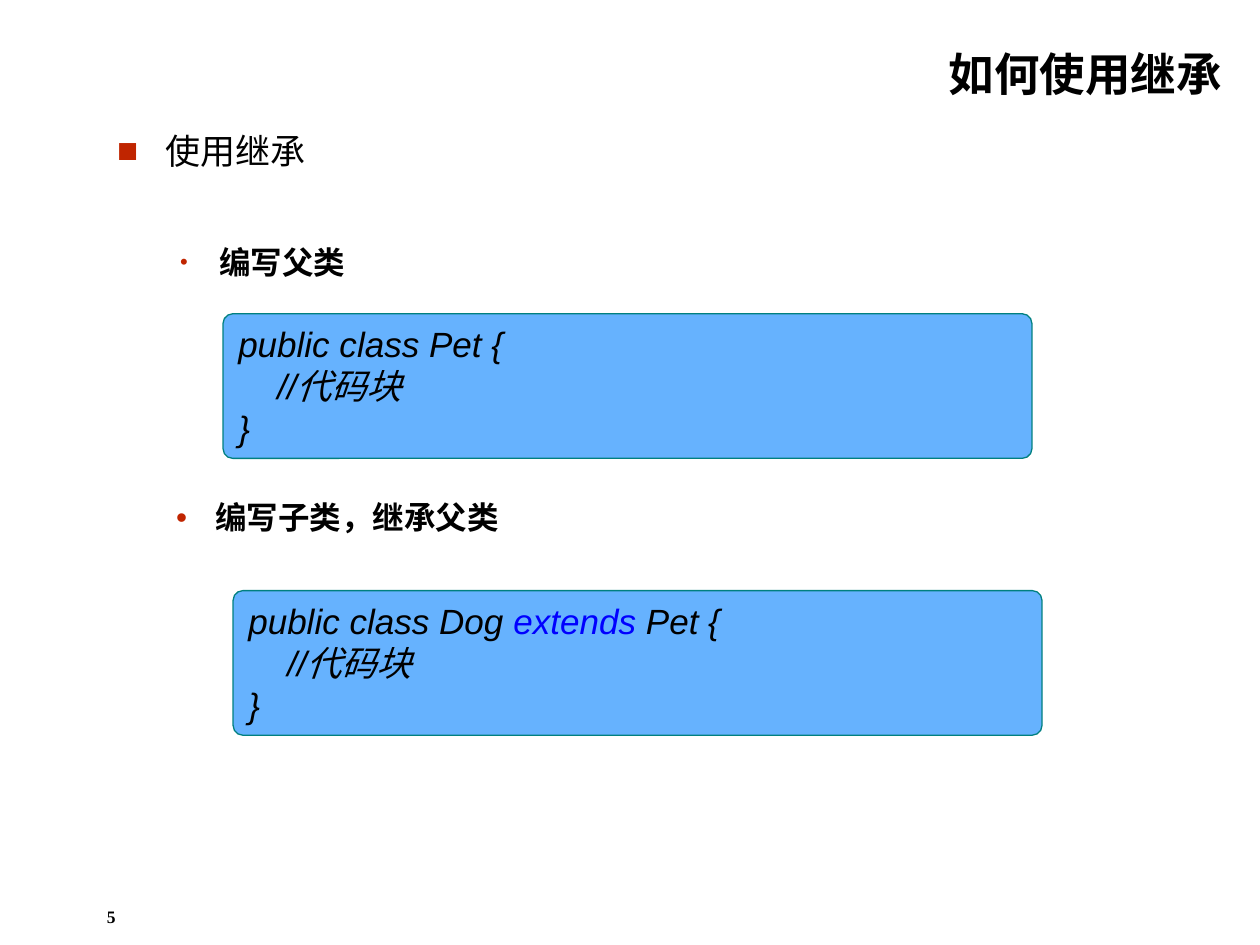
"""Build the slide that explains how to use inheritance."""
import pptx
import pptx.util
import pptx.dml.color
import pptx.enum.shapes
import pptx.enum.text
import lxml.etree

Inches, Pt = pptx.util.Inches, pptx.util.Pt
ALIGN, ANCHOR = pptx.enum.text.PP_ALIGN, pptx.enum.text.MSO_ANCHOR
WIDTH, HEIGHT = 10, 7.5
COLORS = {"text": "000000", "keyword": "0000FF", "bullet": "C02500",
          "code_fill": "66B2FE", "code_line": "008080"}

TITLE = "如何使用继承"
OUTLINE = [
    {"text": "使用继承", "font": {"size": Pt(20)},
     "paragraph": {"level": 0, "line_spacing": 1.2, "space_before": Pt(5)},
     "bullet": ("■", 0.38, 0.38, 100)},
    {"text": "编写父类", "font": {"size": Pt(18), "bold": True},
     "paragraph": {"level": 1, "line_spacing": 1.2, "space_before": Pt(37)},
     "bullet": ("•", 0.81, 0.31, 70)},
]
SUBCLASS_STEP = "编写子类，继承父类"
PAGE_NUMBER = "5"
CODE_BODY = [(0.31, [("//代码块", "text")]), (0, [("}", "text")])]
CODE_BLOCKS = [
    ((0.177, 0.332), [("public class Pet {", "text")]),
    ((0.185, 0.625), [("public class Dog ", "text"), ("extends", "keyword"),
                      (" Pet {", "text")]),
]
CODE_SIZE = (0.642, 0.153)
AREAS = {"title": (0.08, 0.012, 0.9, 0.131), "body": (0.083, 0.121, 0.867, 0.797),
         "step": (0.13, 0.521, 0.276, 0.093), "page": (0.051, 0.952, 0.157, 0.029)}


def color(name):
    return pptx.dml.color.RGBColor.from_string(COLORS[name])


def box(left, top, width, height):
    return [Inches(share * side) for share, side in
            zip((left, top, width, height), (WIDTH, HEIGHT) * 2)]


def apply(target, values):
    for name, value in values.items():
        setattr(target, name, value)


def place(shape, area):
    apply(shape, dict(zip(("left", "top", "width", "height"), box(*area))))


def prepare(shape, **values):
    frame = shape.text_frame
    apply(frame, {"word_wrap": True, "auto_size": pptx.enum.text.MSO_AUTO_SIZE.NONE,
                  "vertical_anchor": ANCHOR.TOP, **values})
    return frame


def add_run(paragraph, text, color_name="text", **values):
    run = paragraph.add_run()
    run.text = text
    apply(run.font, {"name": "Arial", **values})
    run.font.color.rgb = color(color_name)


def set_indent(paragraph, left, hanging=0):
    properties = paragraph._p.get_or_add_pPr()
    properties.set("marL", str(Inches(left)))
    properties.set("indent", str(-Inches(hanging)))
    return properties


def add_bullet(paragraph, character, left, hanging, percent):
    properties = set_indent(paragraph, left, hanging)
    namespace = "{" + properties.nsmap["a"] + "}"
    bullet_color = lxml.etree.SubElement(properties, namespace + "buClr")
    lxml.etree.SubElement(bullet_color, namespace + "srgbClr", val=COLORS["bullet"])
    lxml.etree.SubElement(properties, namespace + "buSzPct", val=str(percent * 1000))
    lxml.etree.SubElement(properties, namespace + "buFont", typeface="Arial")
    lxml.etree.SubElement(properties, namespace + "buChar", char=character)


def add_code(slide, position, first_line):
    shape = slide.shapes.add_shape(
        pptx.enum.shapes.MSO_SHAPE.ROUNDED_RECTANGLE, *box(*position, *CODE_SIZE))
    shape.adjustments[0] = 0.067
    shape.shadow.inherit = False
    shape.fill.solid()
    shape.fill.fore_color.rgb = color("code_fill")
    shape.line.color.rgb = color("code_line")
    shape.line.width = Pt(0.75)
    frame = prepare(shape)
    for index, (indent, runs) in enumerate([(0, first_line)] + CODE_BODY):
        paragraph = frame.add_paragraph() if index else frame.paragraphs[0]
        paragraph.alignment = ALIGN.LEFT
        set_indent(paragraph, indent)
        for text, color_name in runs:
            add_run(paragraph, text, color_name, size=Pt(20), italic=True)


def main():
    presentation = pptx.Presentation()
    presentation.slide_width, presentation.slide_height = Inches(WIDTH), Inches(HEIGHT)
    slide = presentation.slides.add_slide(presentation.slide_layouts[1])
    title, body = slide.placeholders

    place(title, AREAS["title"])
    paragraph = prepare(title, vertical_anchor=ANCHOR.MIDDLE).paragraphs[0]
    paragraph.alignment = ALIGN.RIGHT
    add_run(paragraph, TITLE, size=Pt(26), bold=True)

    place(body, AREAS["body"])
    frame = prepare(body)
    for index, item in enumerate(OUTLINE):
        paragraph = frame.add_paragraph() if index else frame.paragraphs[0]
        apply(paragraph, item["paragraph"])
        add_bullet(paragraph, *item["bullet"])
        add_run(paragraph, item["text"], **item["font"])

    for position, first_line in CODE_BLOCKS:
        add_code(slide, position, first_line)

    step = slide.shapes.add_textbox(*box(*AREAS["step"]))
    paragraph = prepare(step, word_wrap=False).paragraphs[0]
    add_bullet(paragraph, "•", 0.31, 0.31, 100)
    add_run(paragraph, SUBCLASS_STEP, size=Pt(18), bold=True)

    page = slide.shapes.add_textbox(*box(*AREAS["page"]))
    paragraph = prepare(page).paragraphs[0]
    set_indent(paragraph, 0.24)
    add_run(paragraph, PAGE_NUMBER, name="Times New Roman", size=Pt(10), bold=True)

    presentation.save("out.pptx")


if __name__ == "__main__":
    main()
